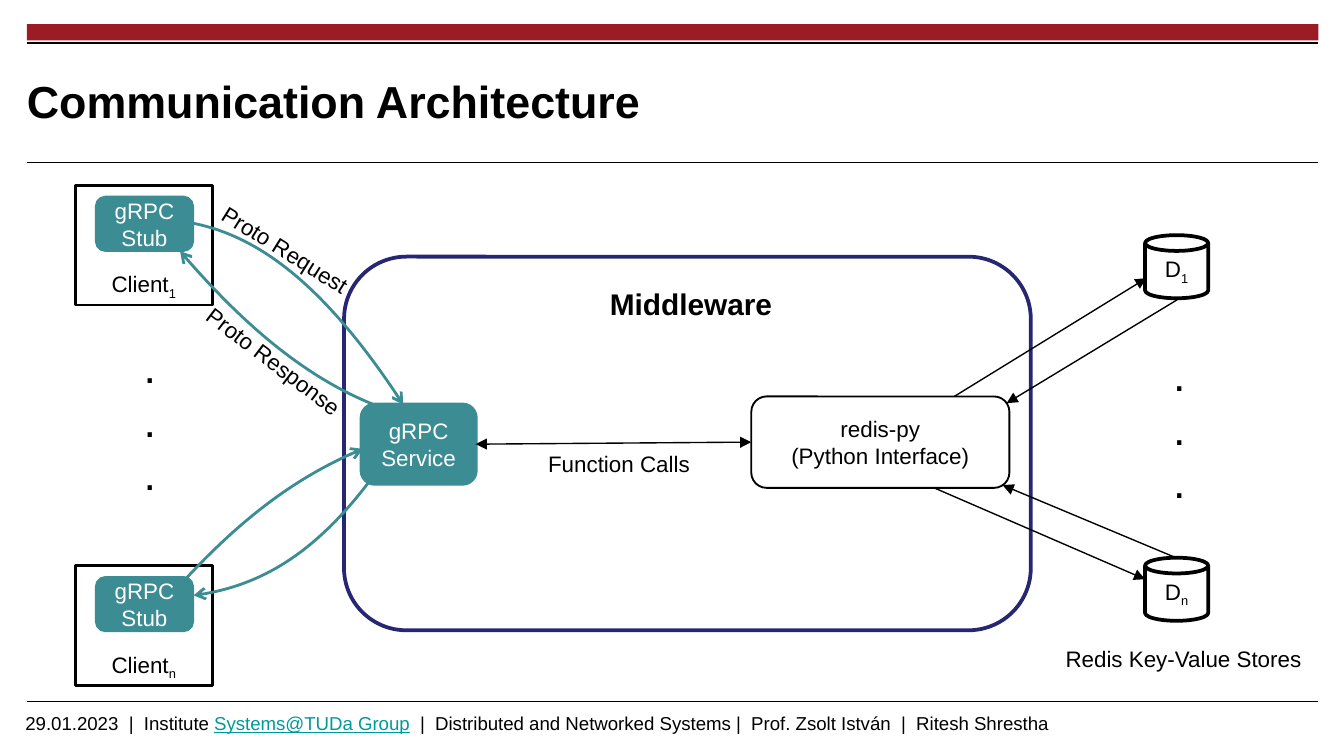
from dataclasses import dataclass

from lxml import etree
from pptx import Presentation
from pptx import util as u
from pptx.dml import color
from pptx.enum import shapes, text
from pptx.oxml import ns

SCALE = 9144
FONT = "Arial"
COLORS = {
    "black": "000000",
    "white": "FFFFFF",
    "red": "9C1C26",
    "navy": "262673",
    "teal": "3C8C93",
    "link": "009999",
}
CENTER = text.PP_ALIGN.CENTER
LEFT = text.PP_ALIGN.LEFT
MIDDLE = text.MSO_ANCHOR.MIDDLE
BOTTOM = text.MSO_ANCHOR.BOTTOM
RECTANGLE = shapes.MSO_SHAPE.RECTANGLE
ROUNDED = shapes.MSO_SHAPE.ROUNDED_RECTANGLE
CAN = shapes.MSO_SHAPE.CAN


@dataclass
class Node:
    box: tuple[int, int, int, int]
    kind: int
    label: str = ""
    subscript: str = ""
    fill: str = "white"
    line: str = "black"
    weight: float = 2
    ink: str = "black"
    anchor: int = MIDDLE
    bottom: int = 5


@dataclass
class Label:
    box: tuple[int, int, int, int]
    label: str
    size: int = 12
    bold: bool = False
    rotation: float = 0
    wrap: bool = False


@dataclass
class Line:
    start: tuple[int, int]
    end: tuple[int, int]
    weight: float = 0.75
    head: bool = False
    tail: bool = True


@dataclass
class Curve:
    points: list[tuple[int, int]]


def px(value: int) -> int:
    return u.Emu(value * SCALE)


def rgb(name: str):
    return color.RGBColor.from_string(COLORS[name])


def write(frame, content: str, size=12, ink="black", bold=False, align=LEFT) -> None:
    frame.text = content
    for paragraph in frame.paragraphs:
        paragraph.alignment = align
        font = paragraph.font
        font.name, font.size, font.bold = FONT, u.Pt(size), bold
        font.color.rgb = rgb(ink)


def add_arrowhead(shape, end: str, kind: str) -> None:
    line = shape.line._get_or_add_ln()
    etree.SubElement(line, ns.qn(f"a:{end}End"), type=kind)


def add_node(slide, node: Node):
    shape = slide.shapes.add_shape(node.kind, *map(px, node.box))
    shape.shadow.inherit = False
    shape.fill.solid()
    shape.fill.fore_color.rgb = rgb(node.fill)
    if node.weight:
        shape.line.color.rgb = rgb(node.line)
        shape.line.width = u.Pt(node.weight)
    else:
        shape.line.fill.background()
    if node.label:
        frame = shape.text_frame
        frame.word_wrap = True
        frame.vertical_anchor = node.anchor
        frame.margin_bottom = px(node.bottom)
        write(frame, node.label, ink=node.ink, align=CENTER)
        if node.subscript:
            run = frame.paragraphs[0].add_run()
            run.text = node.subscript
            run.font._element.set("baseline", "-25000")
    return shape


def add_label(slide, label: Label):
    shape = slide.shapes.add_textbox(*map(px, label.box))
    shape.rotation = label.rotation
    shape.text_frame.word_wrap = label.wrap
    write(shape.text_frame, label.label, label.size, bold=label.bold)
    return shape


def add_line(slide, line: Line):
    connector = slide.shapes.add_connector(
        shapes.MSO_CONNECTOR.STRAIGHT, *map(px, line.start + line.end))
    connector.line.color.rgb = rgb("black")
    connector.line.width = u.Pt(line.weight)
    for end, wanted in (("head", line.head), ("tail", line.tail)):
        if wanted:
            add_arrowhead(connector, end, "triangle")
    etree.SubElement(connector._element.spPr, ns.qn("a:effectLst"))
    return connector


def add_curve(slide, curve: Curve) -> None:
    start, *controls = curve.points
    builder = slide.shapes.build_freeform(*start, scale=SCALE)
    builder.add_line_segments(controls, close=False)
    shape = builder.convert_to_shape()
    outline = shape._element.find(".//" + ns.qn("a:path"))
    outline.set("fill", "none")
    bezier = etree.SubElement(outline, ns.qn("a:cubicBezTo"))
    for segment in outline.findall(ns.qn("a:lnTo")):
        bezier.append(segment[0])
        outline.remove(segment)
    shape.shadow.inherit = False
    shape.fill.background()
    shape.line.color.rgb = rgb("teal")
    shape.line.width = u.Pt(1.5)
    add_arrowhead(shape, "tail", "arrow")


def add_frame(slide) -> None:
    add_node(slide, Node((20, 18, 961, 12), RECTANGLE, fill="red", weight=0))
    for y, weight in ((32, 1.2), (121, 0.6), (522, 0.6)):
        add_line(slide, Line((20, y), (981, y), weight, tail=False))
    title = add_label(slide, Label((20, 40, 746, 69), "Communication Architecture", 24, True, wrap=True))
    frame = title.text_frame
    frame.vertical_anchor = MIDDLE
    frame.margin_left = frame.margin_right = frame.margin_top = frame.margin_bottom = 0

    footer = add_label(slide, Label((9, 525, 795, 19), "29.01.2023  |  Institute ", 10, wrap=True))
    paragraph = footer.text_frame.paragraphs[0]
    group = paragraph.add_run()
    group.text = "Systems@TUDa Group"
    group.font.color.rgb = rgb("link")
    group.font.underline = True
    paragraph.add_run().text = (
        "  |  Distributed and Networked Systems |  Prof. Zsolt István  |  Ritesh Shrestha")


def add_architecture(slide) -> None:
    add_node(slide, Node((256, 191, 511, 278), ROUNDED, line="navy"))
    teal = dict(fill="teal", line="teal", ink="white")
    for subscript, store_top, client_top in (("1", 175, 138), ("n", 415, 421)):
        add_node(slide, Node((852, store_top, 47, 47), CAN, "D", subscript))
        add_node(slide, Node((56, client_top, 102, 89), RECTANGLE, "Client", subscript,
                             weight=1.5, anchor=BOTTOM, bottom=3))
        add_node(slide, Node((72, client_top + 9, 71, 39), ROUNDED, "gRPC Stub", **teal))
    service = add_node(slide, Node((269, 301, 85, 59), ROUNDED, "gRPC\nService", **teal))
    interface = add_node(slide, Node((559, 295, 192, 68), ROUNDED,
                                     "redis-py\n(Python Interface)", weight=1))

    for curve in (
        Curve([(143, 166), (195, 176), (246, 218), (300, 301)]),
        Curve([(283, 303), (227, 282), (176, 236), (134, 187)]),
        Curve([(275, 358), (237, 408), (194, 437), (144, 443)]),
        Curve([(137, 432), (185, 380), (231, 350), (270, 334)]),
    ):
        add_curve(slide, curve)

    for line in (
        Line((710, 295), (853, 207)),
        Line((876, 223), (749, 300)),
        Line((695, 363), (852, 431)),
        Line((875, 415), (746, 361)),
    ):
        add_line(slide, line)
    calls = add_line(slide, Line((354, 330), (559, 329), head=True))
    calls.begin_connect(service, 3)
    calls.end_connect(interface, 1)

    for label in (
        Label((97, 247, 32, 131), ".\n.\n.", 24, wrap=True),
        Label((863, 253, 32, 131), ".\n.\n.", 24, wrap=True),
        Label((783, 475, 197, 30), "Redis Key-Value Stores"),
        Label((149, 171, 127, 30), "Proto Request", rotation=32),
        Label((134, 254, 140, 30), "Proto Response", rotation=37.2),
        Label((444, 208, 143, 37), "Middleware", 16, True),
        Label((398, 330, 126, 30), "Function Calls"),
    ):
        add_label(slide, label)


def main() -> None:
    presentation = Presentation()
    presentation.slide_width = px(1000)
    presentation.slide_height = px(1000) * 9 // 16
    slide = presentation.slides.add_slide(presentation.slide_layouts[6])
    add_frame(slide)
    add_architecture(slide)
    presentation.save("out.pptx")


if __name__ == "__main__":
    main()
